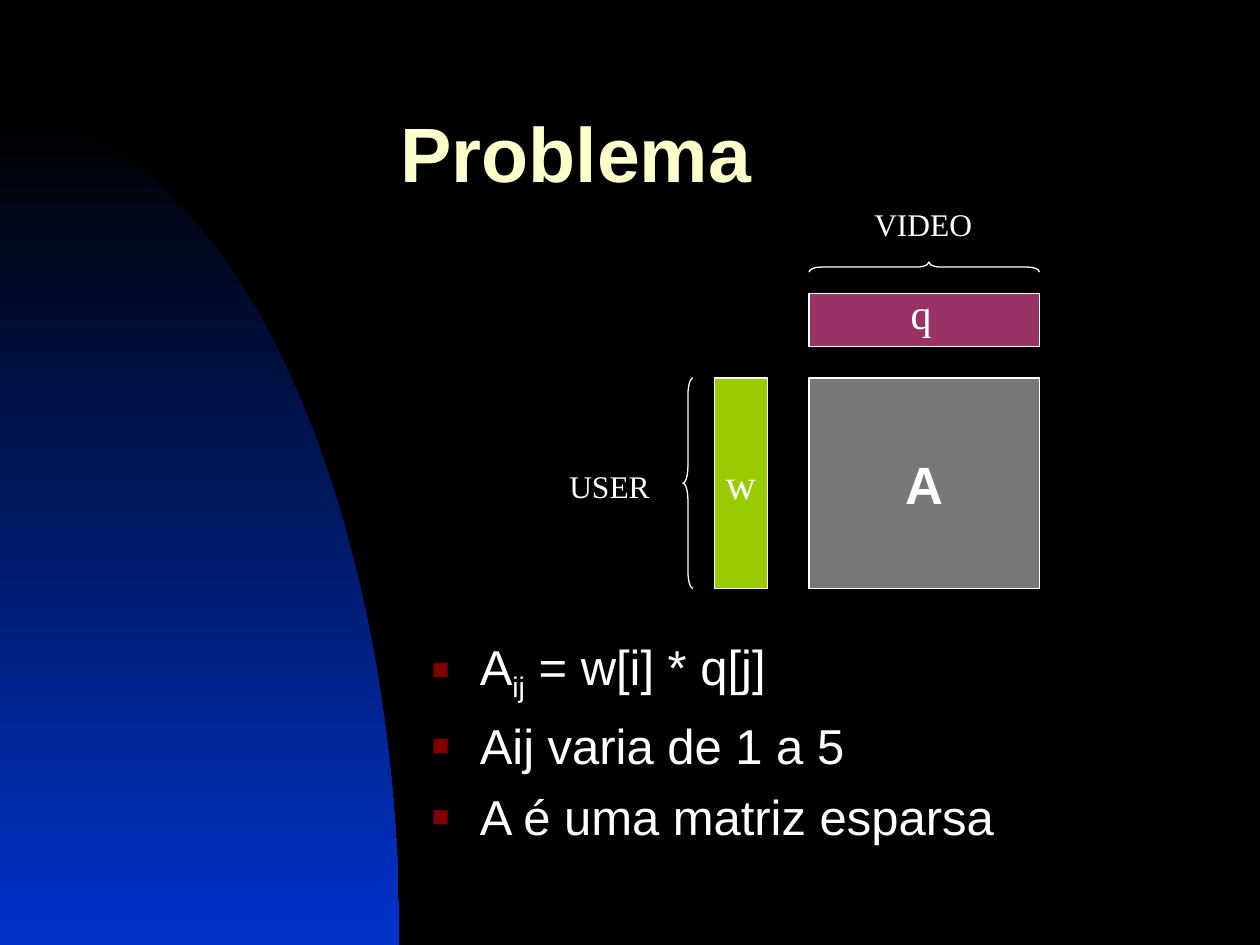
from math import cos, pi, sin

from lxml.etree import SubElement
from pptx import Presentation
from pptx.dml.color import RGBColor
from pptx.enum.shapes import MSO_SHAPE
from pptx.enum.text import MSO_ANCHOR, MSO_AUTO_SIZE, PP_ALIGN
from pptx.oxml.ns import qn
from pptx.util import Inches, Pt

WHITE = "FFFFFF"
SERIF = "Times New Roman"


def colour(value):
    return RGBColor.from_string(value)


def place(shape, box):
    shape.left, shape.top, shape.width, shape.height = map(Inches, box)


def add_span(para, text, size=28, font="Arial", color=WHITE, bold=False, baseline=0):
    """Append a formatted run; baseline is a percentage, negative for subscript."""
    span = para.add_run()
    span.text = text
    span.font.size = Pt(size)
    span.font.name = font
    span.font.bold = bold
    span.font.color.rgb = colour(color)
    if baseline:
        span.font._element.set("baseline", str(baseline * 1000))


def add_bullet(para, color, percent, indent):
    props = para._p.get_or_add_pPr()
    props.set("marL", str(Inches(indent)))
    props.set("indent", str(-Inches(indent)))
    bullet_color = SubElement(props, qn("a:buClr"))
    SubElement(bullet_color, qn("a:srgbClr"), val=color)
    SubElement(props, qn("a:buSzPct"), val=str(percent * 1000))
    SubElement(props, qn("a:buFont"), typeface="Arial")
    SubElement(props, qn("a:buChar"), char="■")


def add_shape(page, kind, box, fill=None, line=WHITE):
    shape = page.shapes.add_shape(kind, *map(Inches, box))
    shape.shadow.inherit = False
    if fill:
        shape.fill.solid()
        shape.fill.fore_color.rgb = colour(fill)
    else:
        shape.fill.background()
    shape.line.color.rgb = colour(line)
    shape.line.width = Pt(0.75)
    return shape


def add_block(page, box, fill, text="", **style):
    """Draw a matrix or vector with an optional centred name."""
    block = add_shape(page, MSO_SHAPE.RECTANGLE, box, fill)
    if text:
        frame = block.text_frame
        frame.word_wrap = False
        frame.vertical_anchor = MSO_ANCHOR.MIDDLE
        para = frame.paragraphs[0]
        para.alignment = PP_ALIGN.CENTER
        add_span(para, text, **style)


def add_brace(page, box, curve, point, rotation=0):
    brace = add_shape(page, MSO_SHAPE.LEFT_BRACE, box)
    brace.adjustments[0] = curve
    brace.adjustments[1] = point
    brace.rotation = rotation


def add_label(page, box, text, **style):
    label = page.shapes.add_textbox(*map(Inches, box))
    frame = label.text_frame
    frame.word_wrap = False
    frame.auto_size = MSO_AUTO_SIZE.SHAPE_TO_FIT_TEXT
    add_span(frame.paragraphs[0], text, font=SERIF, **style)


def add_backdrop(page, box, steps=90):
    """Draw the quarter ellipse whose centre is the lower left corner of the box."""
    left, top, width, height = map(Inches, box)
    bottom = top + height
    angles = [pi / 2 * step / steps for step in range(steps + 1)]
    arc = [(round(left + width * sin(a)), round(bottom - height * cos(a))) for a in angles]
    builder = page.shapes.build_freeform(*arc[0])
    builder.add_line_segments(arc[1:] + [(left, bottom)], close=True)
    quarter = builder.convert_to_shape()
    quarter.shadow.inherit = False
    quarter.line.fill.background()
    quarter.fill.gradient()
    quarter.fill.gradient_angle = 270
    for stop, position, color in zip(quarter.fill.gradient_stops, (0, 1), ("000000", "0033CC")):
        stop.position = position
        stop.color.rgb = colour(color)


def add_title(page, box):
    title = page.shapes.title
    place(title, box)
    frame = title.text_frame
    frame.word_wrap = True
    frame.auto_size = MSO_AUTO_SIZE.NONE
    frame.vertical_anchor = MSO_ANCHOR.MIDDLE
    para = frame.paragraphs[0]
    para.alignment = PP_ALIGN.LEFT
    para.line_spacing = 0.7
    add_span(para, "Problema", size=44, color="FFFFCC", bold=True)


def add_matrix_diagram(page, box):
    """Draw matrix A in the box, with vector w on its left and q above it."""
    left, top, width, height = box
    thick, depth = 0.42, 0.08
    w_left, q_top = left - 0.75, top - 0.67
    brace_left, brace_top = w_left - 0.25, q_top - 0.25

    add_block(page, box, "777777", "A", size=30, bold=True)
    add_block(page, (w_left, top, thick, height), "99CC00", "w", size=24, font=SERIF)
    add_block(page, (left, q_top, width, thick), "993366")
    add_label(page, (left + 0.71, q_top - 0.1, 0.36, 0.5), "q", size=24)

    add_brace(page, (brace_left, top, depth, height), 1.67, 0.5)
    add_label(page, (brace_left - 1, top + 0.66, 0.84, 0.4), "USER", size=18)
    # The upper brace is turned about its centre, so its box is upright.
    upright = (left + (width - depth) / 2, brace_top + (depth - width) / 2, depth, width)
    add_brace(page, upright, 1.2, 0.48, rotation=90)
    add_label(page, (left + 0.42, brace_top - 0.5, 0.98, 0.4), "VIDEO", size=18)


def add_notes_list(page, box):
    """Write the bulleted facts; each item is a list of (text, baseline)."""
    items = [
        [("A", 0), ("ij", -25), (" = w[i] * q[j]", 0)],
        [("Aij varia de 1 a 5", 0)],
        [("A é uma matriz esparsa", 0)],
    ]
    frame = page.shapes.add_textbox(*map(Inches, box)).text_frame
    frame.word_wrap = True
    for index, parts in enumerate(items):
        para = frame.add_paragraph() if index else frame.paragraphs[0]
        if index:
            para.space_before = Pt(7)
        add_bullet(para, "800000", 60, 0.38)
        for text, baseline in parts:
            add_span(para, text, baseline=baseline)


def main():
    deck = Presentation()
    deck.slide_width, deck.slide_height = Inches(10), Inches(7.5)
    page = deck.slides.add_slide(deck.slide_layouts[5])
    page.background.fill.solid()
    page.background.fill.fore_color.rgb = colour("000000")
    add_backdrop(page, (0, 0.92, 3.17, 6.58))
    add_title(page, (3.08, 0.67, 6.67, 1.25))
    add_matrix_diagram(page, (6.42, 3, 1.83, 1.67))
    add_notes_list(page, (3.33, 5, 6.33, 1.92))
    deck.save("out.pptx")


if __name__ == "__main__":
    main()
